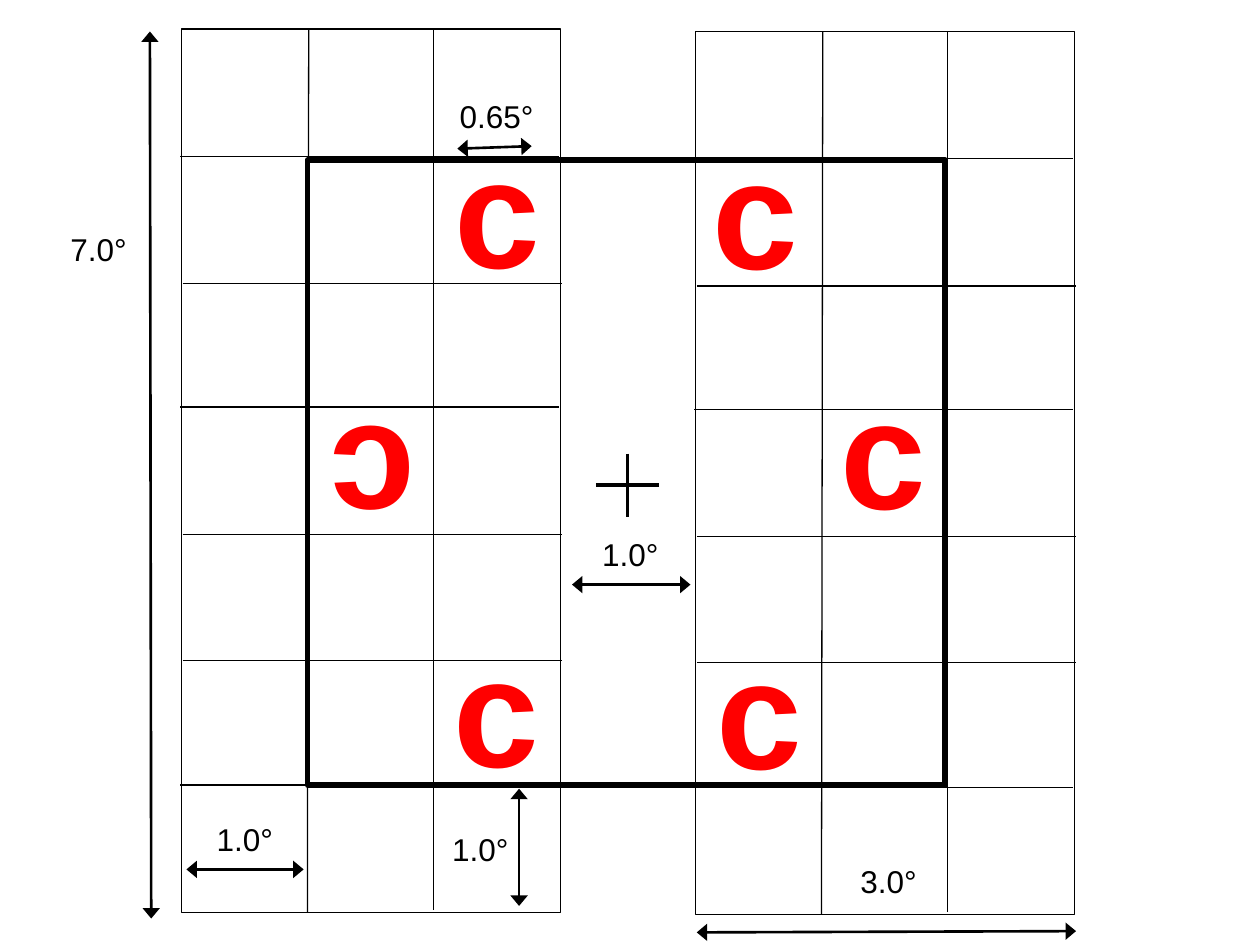
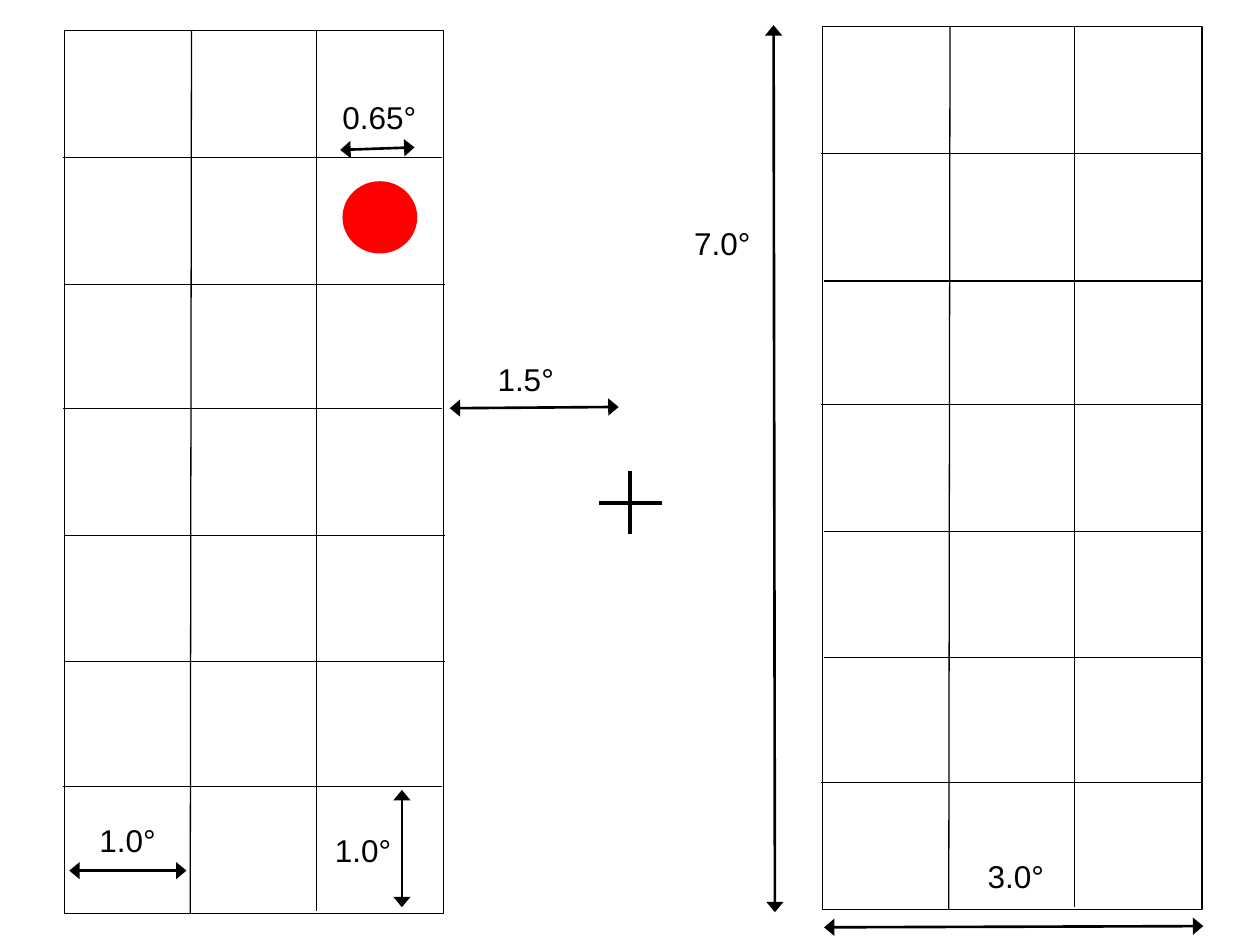
from pptx import Presentation
from pptx.dml.color import RGBColor
from pptx.enum.shapes import MSO_CONNECTOR, MSO_SHAPE
from pptx.enum.text import MSO_AUTO_SIZE
from pptx.oxml.ns import qn
from pptx.util import Inches, Pt
from lxml.etree import SubElement

BLACK = RGBColor(0x00, 0x00, 0x00)
WHITE = RGBColor(0xFF, 0xFF, 0xFF)
RED = RGBColor(0xFF, 0x00, 0x00)
FONT = "Arial"

BLANK_LAYOUT = 6
GRID_WIDTH, GRID_HEIGHT = 3.01, 7.01
# Column lines as (top x, bottom x, bottom y), row lines as (left x, y)
COLUMN_LINES = ((1.01, 1.0, 7.01), (2.0, 2.0, 6.99))
ROW_LINES = ((-0.01, 1.01), (0.01, 2.02), (-0.01, 3.0),
             (0.01, 4.01), (0.01, 5.01), (-0.01, 6.0))
CROSS_ARM = 0.25


def add_line(shapes, start, end, weight):
    line = shapes.add_connector(MSO_CONNECTOR.STRAIGHT,
                                *map(Inches, (*start, *end)))
    line.line.width = Pt(weight)
    line.line.color.rgb = BLACK
    SubElement(line._element.spPr, qn("a:effectLst"))
    return line


def add_arrow(slide, start, end):
    """Add a dimension line with a wide triangle at both ends."""
    arrow = add_line(slide.shapes, start, end, 1.5)
    outline = arrow._element.spPr.find(qn("a:ln"))
    for arrowhead in ("a:headEnd", "a:tailEnd"):
        SubElement(outline, qn(arrowhead), type="triangle", w="lg", len="med")


def add_outline(shapes, kind, box, weight, fill=None, color=BLACK):
    shape = shapes.add_shape(kind, *map(Inches, box))
    shape.shadow.inherit = False
    if fill is None:
        shape.fill.background()
    else:
        shape.fill.solid()
        shape.fill.fore_color.rgb = fill
    shape.line.color.rgb = color
    shape.line.width = Pt(weight)


def add_text(slide, text, box, size, color=BLACK, bold=False, rotation=0):
    shape = slide.shapes.add_textbox(*map(Inches, box))
    shape.rotation = rotation
    text_frame = shape.text_frame
    text_frame.word_wrap = False
    text_frame.auto_size = MSO_AUTO_SIZE.SHAPE_TO_FIT_TEXT
    text_frame.text = text
    font = text_frame.paragraphs[0].runs[0].font
    font.name, font.size, font.bold = FONT, Pt(size), bold
    font.color.rgb = color


def add_label(slide, text, left, top):
    width = 0.8 if len(text) > 4 else 0.65
    add_text(slide, text, (left, top, width, 0.4), 18)


def add_letter(slide, left, top, rotation=0):
    add_text(slide, "c", (left, top, 0.88, 1.57), 88, RED, True, rotation)


def add_cross(slide, x, y):
    """Add the fixation cross centred on (x, y)."""
    shapes = slide.shapes.add_group_shape().shapes
    add_line(shapes, (x, y - CROSS_ARM), (x, y + CROSS_ARM), 2.25)
    add_line(shapes, (x - CROSS_ARM, y), (x + CROSS_ARM, y), 2.25)


def add_grid(slide, left, top):
    shapes = slide.shapes.add_group_shape().shapes
    add_outline(shapes, MSO_SHAPE.RECTANGLE,
                (left, top, GRID_WIDTH, GRID_HEIGHT), 0.75, WHITE)
    for top_x, bottom_x, bottom_y in COLUMN_LINES:
        add_line(shapes, (left + top_x, top),
                 (left + bottom_x, top + bottom_y), 0.75)
    for x, y in ROW_LINES:
        add_line(shapes, (left + x, top + y),
                 (left + x + GRID_WIDTH, top + y), 0.75)


def add_cell_dimensions(slide, left, top):
    """Mark cell width, cell height and target width on the left grid."""
    add_arrow(slide, (left + 0.04, top + 6.67), (left + 0.97, top + 6.67))
    add_label(slide, "1.0°", left + 0.18, top + 6.23)
    add_label(slide, "1.0°", left + 2.05, top + 6.31)
    add_arrow(slide, (left + 2.68, top + 6.96), (left + 2.68, top + 6.03))
    add_arrow(slide, (left + 2.19, top + 0.95), (left + 2.78, top + 0.93))
    add_label(slide, "0.65°", left + 2.11, top + 0.49)


def add_height_dimension(slide, x, top):
    add_arrow(slide, (x, top + 7.04), (x - 0.01, top))
    add_label(slide, "7.0°", x - 0.74, top + 1.53)


def add_width_dimension(slide, left, top):
    """Mark the full width below the right grid."""
    add_arrow(slide, (left + 0.01, top + 7.15), (left + 3.02, top + 7.14))
    add_label(slide, "3.0°", left + 1.21, top + 6.54)


def build_letter_slide(slide):
    add_cross(slide, 4.98, 3.85)
    add_grid(slide, 1.44, 0.23)
    add_grid(slide, 5.52, 0.25)
    add_cell_dimensions(slide, 1.44, 0.23)
    add_height_dimension(slide, 1.2, 0.25)
    add_width_dimension(slide, 5.52, 0.25)

    # Ring of target letters, one of them turned round
    for left, top in ((3.51, 0.86), (3.5, 4.82), (5.59, 4.84),
                      (6.57, 2.77), (5.56, 0.87)):
        add_letter(slide, left, top)
    add_letter(slide, 2.52, 3.09, rotation=180)

    # Gap between the grids, and the frame around the targets
    add_arrow(slide, (4.54, 4.64), (5.48, 4.64))
    add_label(slide, "1.0°", 4.68, 4.2)
    add_outline(slide.shapes, MSO_SHAPE.RECTANGLE,
                (2.44, 1.27, 5.06, 4.96), 3)


def build_dot_slide(slide):
    add_cross(slide, 5, 3.99)
    add_grid(slide, 0.51, 0.24)
    add_grid(slide, 6.53, 0.21)

    # Distance from the left grid to fixation
    add_arrow(slide, (3.57, 3.24), (4.91, 3.23))
    add_label(slide, "1.5°", 3.85, 2.81)

    add_cell_dimensions(slide, 0.51, 0.24)
    add_outline(slide.shapes, MSO_SHAPE.OVAL,
                (2.76, 1.48, 0.51, 0.49), 6, RED, RED)
    add_height_dimension(slide, 6.15, 0.2)
    add_width_dimension(slide, 6.53, 0.21)


def main():
    presentation = Presentation()
    presentation.slide_width = Inches(10)
    presentation.slide_height = Inches(7.5)
    layout = presentation.slide_layouts[BLANK_LAYOUT]
    for build in (build_letter_slide, build_dot_slide):
        build(presentation.slides.add_slide(layout))
    presentation.save("out.pptx")


if __name__ == "__main__":
    main()
